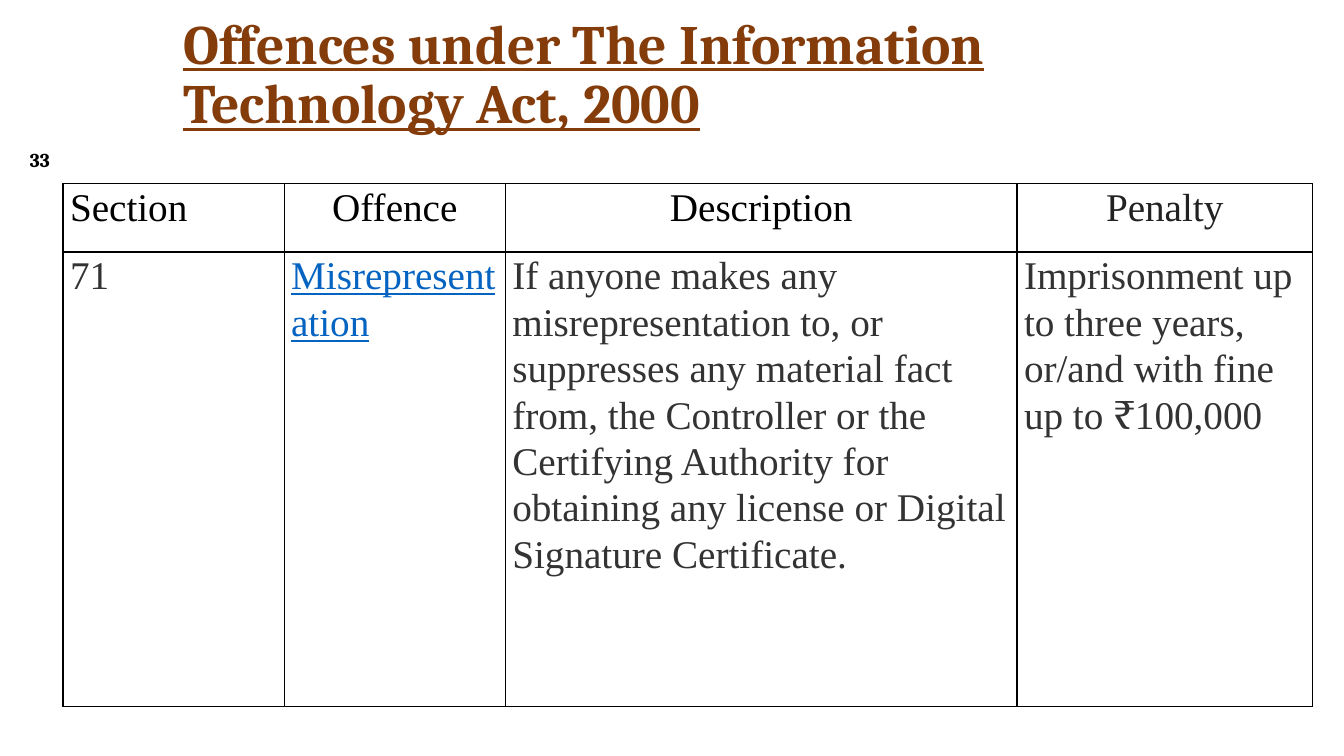
from dataclasses import dataclass

from lxml.etree import SubElement
from pptx import Presentation
from pptx.dml.color import RGBColor
from pptx.enum.text import MSO_ANCHOR, MSO_AUTO_SIZE, PP_ALIGN
from pptx.oxml.ns import qn
from pptx.util import Pt


@dataclass(frozen=True)
class Theme:
    heading_font: str = "Cambria"
    table_font: str = "Times New Roman"
    title_size: float = 39.6
    table_size: float = 28
    number_size: float = 14
    brown: str = "843C0B"
    black: str = "000000"
    header_grey: str = "222222"
    text_grey: str = "333333"
    link_blue: str = "0563C1"


class Deck:
    """Holds the theme and the current slide."""

    def __init__(self, theme):
        self.theme = theme
        self.prs = Presentation()
        self.prs.slide_width, self.prs.slide_height = Pt(960), Pt(540)
        self.s = self.prs.slides.add_slide(self.prs.slide_layouts[5])

    def run(self, p, text, font, size, color, bold=False, underline=False):
        r = p.add_run()
        r.text = text
        r.font.name, r.font.size = font, Pt(size)
        r.font.bold, r.font.underline = bold, underline
        r.font.color.rgb = RGBColor.from_string(color)

    def title(self, text, left, top, width, height):
        sp = self.s.shapes.title
        sp.left, sp.top, sp.width, sp.height = map(Pt, (left, top, width, height))
        tf = sp.text_frame
        tf.word_wrap, tf.auto_size = True, MSO_AUTO_SIZE.NONE
        tf.vertical_anchor = MSO_ANCHOR.MIDDLE
        p = tf.paragraphs[0]
        p.alignment, p.line_spacing = PP_ALIGN.LEFT, 0.9
        t = self.theme
        self.run(p, text, t.heading_font, t.title_size, t.brown, True, True)

    def page_number(self, text, left, top, width, height):
        sp = self.s.shapes.add_textbox(*map(Pt, (left, top, width, height)))
        tf = sp.text_frame
        tf.word_wrap, tf.vertical_anchor = True, MSO_ANCHOR.MIDDLE
        p = tf.paragraphs[0]
        p.alignment = PP_ALIGN.CENTER
        t = self.theme
        self.run(p, text, t.heading_font, t.number_size, t.black, True)

    def table(self, rows, left, top, widths, heights):
        """Each row is a list of (text, alignment, colour) cells."""
        frame = self.s.shapes.add_table(
            len(heights), len(widths),
            *map(Pt, (left, top, sum(widths), sum(heights))))
        table = frame.table
        table.first_row = table.horz_banding = False
        for column, width in zip(table.columns, widths):
            column.width = Pt(width)
        for row, height, contents in zip(table.rows, heights, rows):
            row.height = Pt(height)
            for cell, content in zip(row.cells, contents):
                self.cell(cell, *content)

    def cell(self, cell, text, align, color):
        t = self.theme
        cell.margin_left = cell.margin_right = Pt(5)
        cell.margin_top = cell.margin_bottom = 0
        self.borders(cell)
        cell.fill.background()
        p = cell.text_frame.paragraphs[0]
        p.alignment, p.line_spacing = align, 1.07
        self.run(p, text, t.table_font, t.table_size, color,
                 underline=color == t.link_blue)

    def borders(self, cell):
        tcPr = cell._tc.get_or_add_tcPr()
        for side in ("lnL", "lnR", "lnT", "lnB"):
            ln = SubElement(tcPr, qn(f"a:{side}"), w=str(Pt(1)))
            fill = SubElement(ln, qn("a:solidFill"))
            SubElement(fill, qn("a:srgbClr"), val=self.theme.black)


def main():
    t = Theme()
    deck = Deck(t)
    left, center, justify = PP_ALIGN.LEFT, PP_ALIGN.CENTER, PP_ALIGN.JUSTIFY
    deck.title("Offences under The Information Technology Act, 2000",
               123.84, 15.12, 703.44, 78.48)
    header = [
        ("Section", justify, t.black),
        ("Offence", center, t.black),
        ("Description", center, t.black),
        ("Penalty", center, t.header_grey),
    ]
    offence = [
        ("71", left, t.text_grey),
        ("Misrepresentation", left, t.link_blue),
        ("If anyone makes any misrepresentation to, or suppresses any "
         "material fact from, the Controller or the Certifying Authority for "
         "obtaining any license or Digital Signature Certificate.",
         left, t.text_grey),
        ("Imprisonment up to three years, or/and with fine up to ₹100,000",
         left, t.text_grey),
    ]
    deck.table([header, offence], 45, 131, (158, 158, 365.5, 211), (49, 324.5))
    deck.page_number("33", 0, 104.4, 56.9, 19.4)
    deck.prs.save("out.pptx")


if __name__ == "__main__":
    main()
